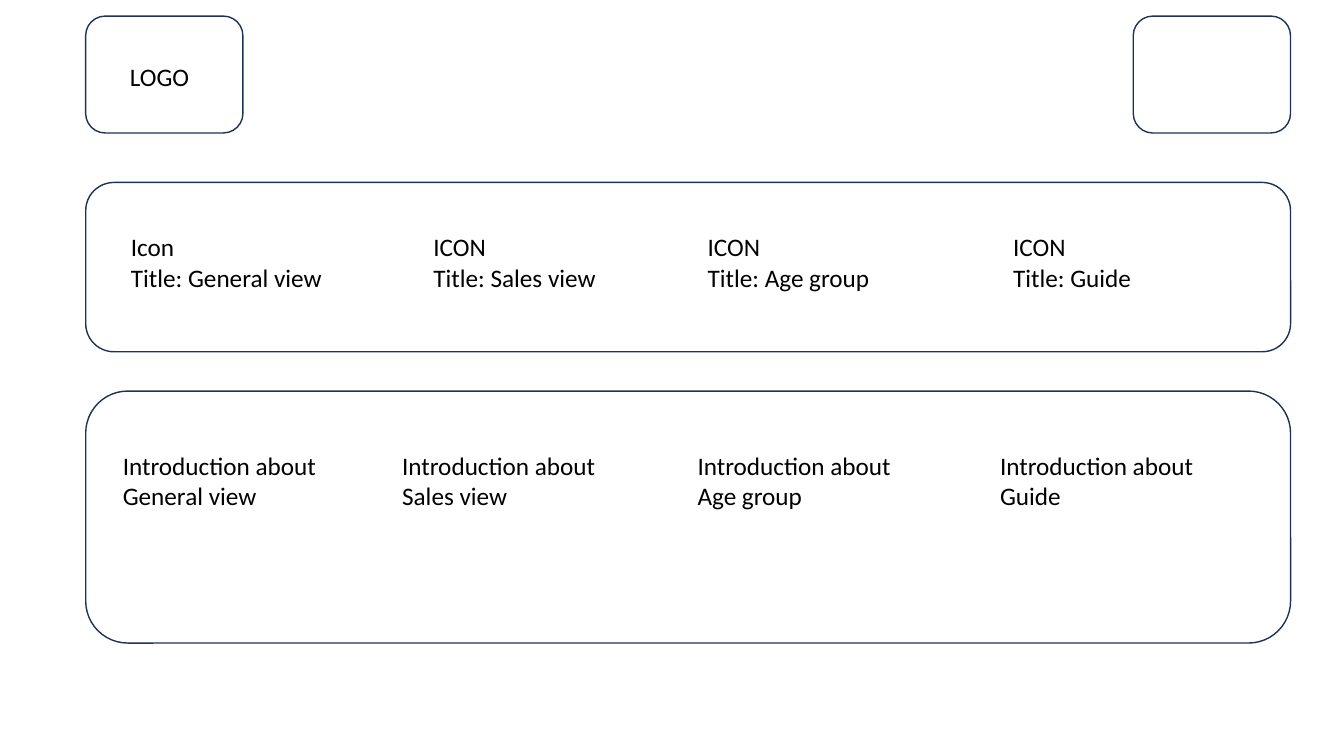
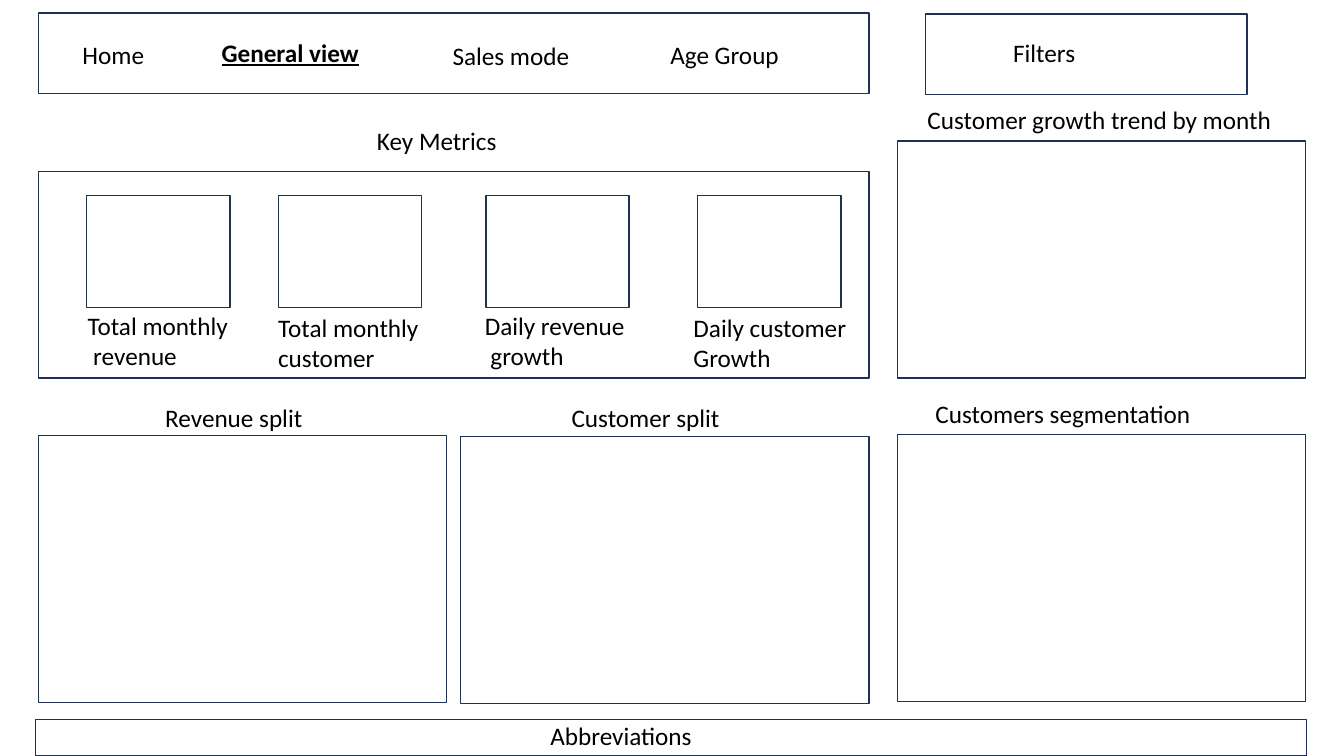
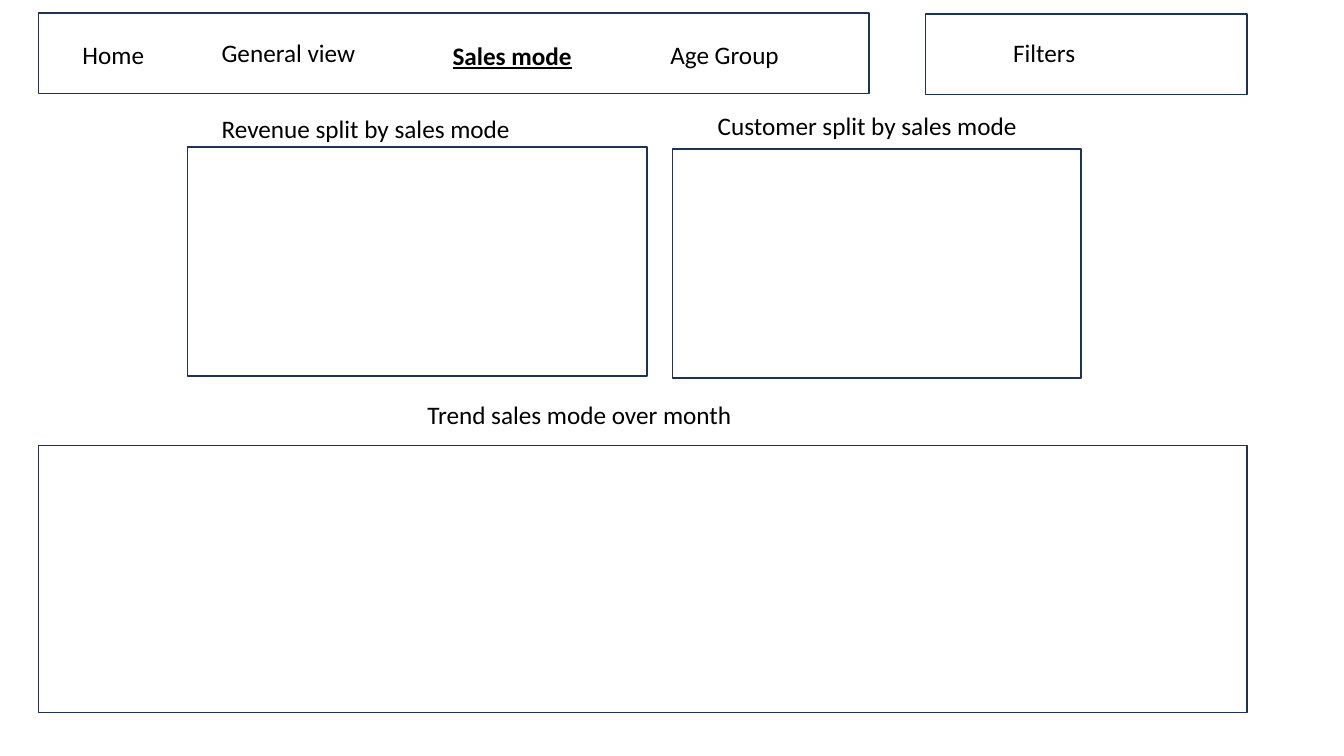
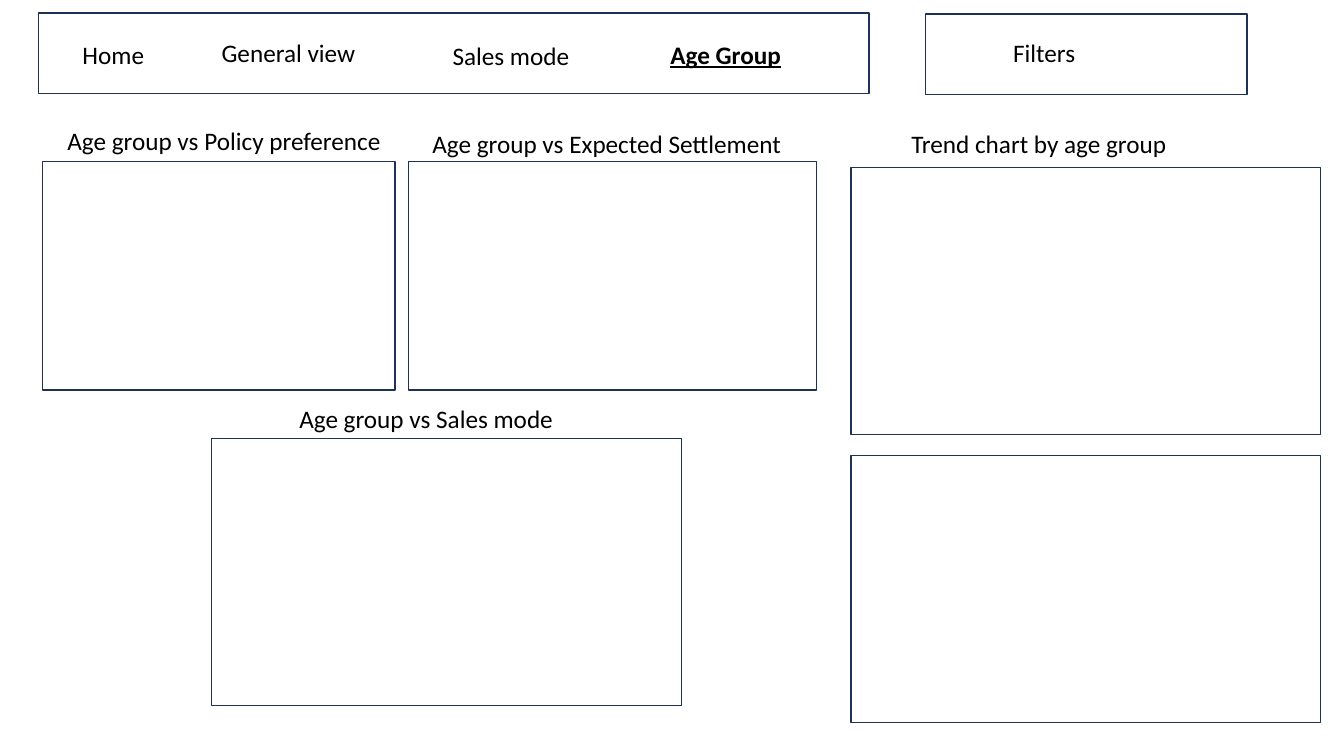
from pptx import Presentation
from pptx.dml.color import RGBColor
from pptx.enum.shapes import MSO_SHAPE
from pptx.enum.text import MSO_AUTO_SIZE
from pptx.util import Inches, Pt

COLORS = {"line": "1E3256", "text": "000000"}
TEXT = {"name": "Calibri", "size": Pt(18), "bold": False, "underline": False}
ACTIVE = {"bold": True, "underline": True}
FRAME = {"word_wrap": True, "auto_size": MSO_AUTO_SIZE.SHAPE_TO_FIT_TEXT}
LINE_H, PAIR_H = 0.4, 0.71

# Navigation entries: label, left, top, width (wide enough for bold)
NAV = [
    ("Home", 0.72, 0.34, 1),
    ("General view", 2.1, 0.32, 1.8),
    ("Sales mode", 4.39, 0.35, 1.6),
    ("Age Group", 6.55, 0.34, 1.5),
]


def set_all(obj, values):
    for name, value in values.items():
        setattr(obj, name, value)


class Wireframe:
    """Holds the presentation and draws on its current slide."""

    def __init__(self):
        self.prs = Presentation()
        self.prs.slide_width = Inches(13.33)
        self.prs.slide_height = Inches(7.5)
        self.s = None

    def new_slide(self):
        self.s = self.prs.slides.add_slide(self.prs.slide_layouts[6])

    def box(self, x, y, w, h, kind=MSO_SHAPE.RECTANGLE):
        sp = self.s.shapes.add_shape(kind, *map(Inches, (x, y, w, h)))
        sp.shadow.inherit = False
        sp.fill.background()
        sp.line.color.rgb = RGBColor.from_string(COLORS["line"])
        sp.line.width = Pt(1)

    def round_box(self, x, y, w, h):
        self.box(x, y, w, h, MSO_SHAPE.ROUNDED_RECTANGLE)

    def label(self, text, x, y, w, **extra):
        lines = text.split("\n")
        h = LINE_H if len(lines) == 1 else PAIR_H
        tf = self.s.shapes.add_textbox(*map(Inches, (x, y, w, h))).text_frame
        set_all(tf, FRAME)
        for i, line in enumerate(lines):
            p = tf.paragraphs[0] if i == 0 else tf.add_paragraph()
            r = p.add_run()
            r.text = line
            set_all(r.font, {**TEXT, **extra})
            r.font.color.rgb = RGBColor.from_string(COLORS["text"])

    def dashboard(self, active, boxes, labels):
        """Slide with the navigation bar, filters, panels and their titles."""
        self.new_slide()
        self.box(0.38, 0.13, 8.24, 0.8)
        self.box(9.18, 0.14, 3.19, 0.8)
        self.label("Filters", 9.95, 0.32, 1.19)
        for text, x, y, w in NAV:
            self.label(text, x, y, w, **(ACTIVE if text == active else {}))
        for panel in boxes:
            self.box(*panel)
        for title in labels:
            self.label(*title)


def home(wf):
    wf.new_slide()
    # Header boxes and the two wide bands
    for x in (0.85, 11.24):
        wf.round_box(x, 0.16, 1.56, 1.16)
    wf.label("LOGO", 1.19, 0.56, 0.8)
    for y, h in ((1.81, 1.68), (3.88, 2.5)):
        wf.round_box(0.85, y, 11.95, h)

    # One icon title and one introduction per view
    views = [
        ("General view", "Icon", 1.2, 2.12, 1.12, 2.2),
        ("Sales view", "ICON", 4.2, 1.83, 3.89, 2.14),
        ("Age group", "ICON", 6.92, 1.83, 6.82, 2.14),
        ("Guide", "ICON", 9.95, 1.39, 9.82, 2.2),
    ]
    for view, icon, icon_x, icon_w, intro_x, intro_w in views:
        wf.label(f"{icon}\nTitle: {view}", icon_x, 2.25, icon_w)
        wf.label(f"Introduction about\n{view}", intro_x, 4.42, intro_w)


def general_view(wf):
    wf.dashboard(
        "General view",
        [
            (0.38, 1.7, 8.24, 2.05),
            (0.38, 4.32, 4.05, 2.65),
            (4.57, 4.33, 4.05, 2.65),
            (8.9, 1.4, 4.05, 2.35),
            (8.9, 4.31, 4.05, 2.65),
            (0.35, 7.14, 12.61, 0.36),
        ],
        [
            ("Key Metrics", 3.64, 1.19, 1.4),
            ("Revenue split", 1.54, 3.94, 1.58),
            ("Customer split", 5.57, 3.94, 1.69),
            ("Customer growth trend by month", 9.1, 0.99, 3.65),
            ("Customers segmentation", 9.18, 3.9, 2.76),
            ("Abbreviations", 5.36, 7.1, 1.62),
        ],
    )
    # Key metric cards
    metrics = [
        (0.86, "Total monthly\n revenue", 0.77, 3.03, 1.61),
        (2.76, "Total monthly\ncustomer", 2.66, 3.05, 1.61),
        (4.82, "Daily revenue\n growth", 4.71, 3.03, 1.61),
        (6.92, "Daily customer\nGrowth", 6.78, 3.05, 1.73),
    ]
    for card_x, *caption in metrics:
        wf.box(card_x, 1.94, 1.42, 1.11)
        wf.label(*caption)


def sales_mode(wf):
    wf.dashboard(
        "Sales mode",
        [
            (1.86, 1.46, 4.56, 2.27),
            (6.67, 1.48, 4.05, 2.27),
            (0.38, 4.42, 11.99, 2.65),
        ],
        [
            ("Revenue split by sales mode", 2.1, 1.08, 3.09),
            ("Customer split by sales mode", 7.02, 1.05, 3.2),
            ("Trend sales mode over month", 4.14, 3.91, 3.25),
        ],
    )


def age_group(wf):
    wf.dashboard(
        "Age Group",
        [
            (0.42, 1.6, 3.5, 2.27),
            (4.05, 1.6, 4.05, 2.27),
            (2.1, 4.35, 4.66, 2.65),
            (8.44, 1.66, 4.66, 2.65),
            (8.44, 4.52, 4.66, 2.65),
        ],
        [
            ("Age group vs Policy preference", 0.57, 1.19, 3.35),
            ("Age group vs Expected Settlement", 4.19, 1.22, 3.71),
            ("Age group vs Sales mode", 2.87, 3.95, 2.75),
            ("Trend chart by age group", 8.94, 1.22, 2.76),
        ],
    )


def main():
    wf = Wireframe()
    for build in (home, general_view, sales_mode, age_group):
        build(wf)
    wf.prs.save("out.pptx")


if __name__ == "__main__":
    main()
